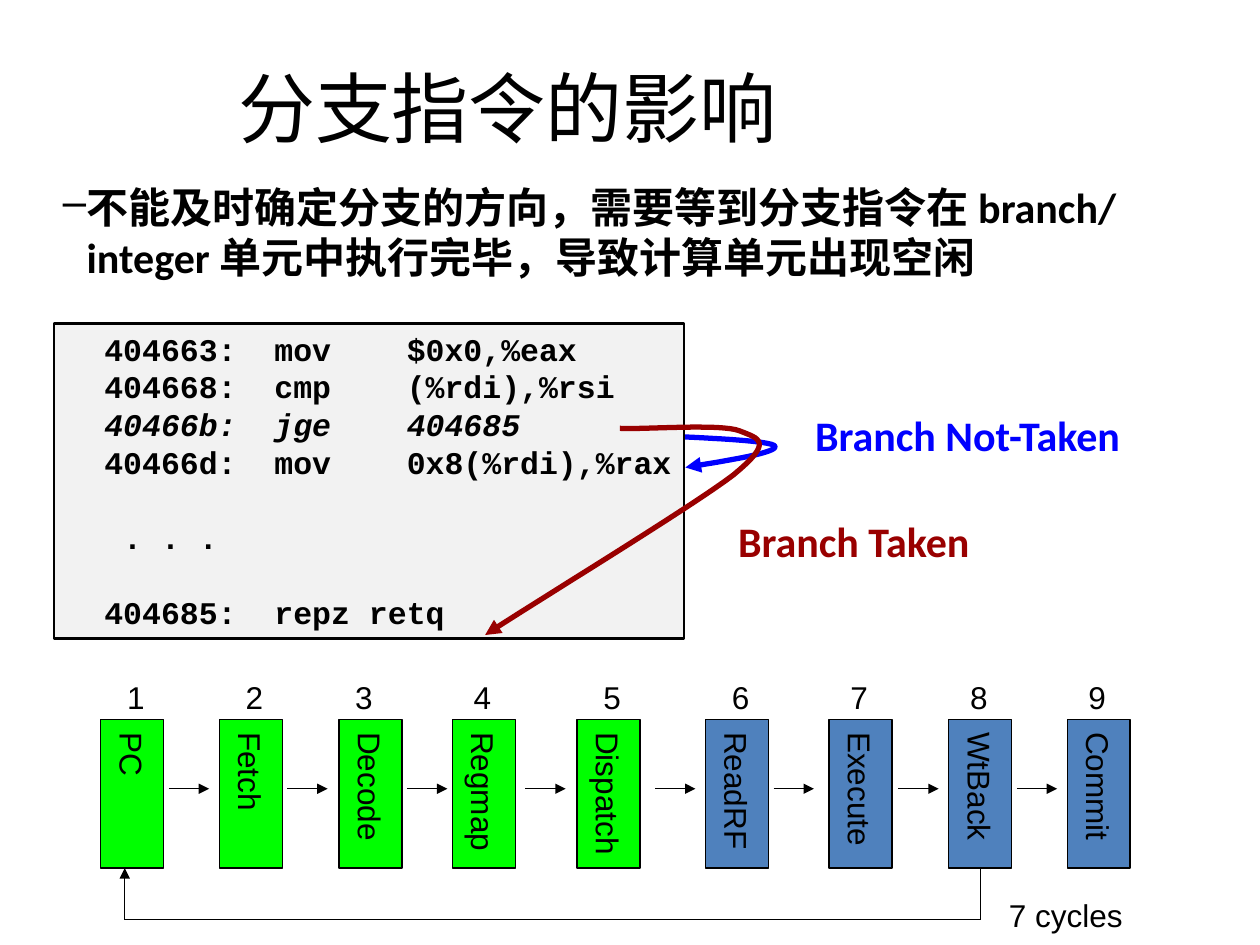
from dataclasses import dataclass

from lxml.etree import SubElement
from pptx import Presentation
from pptx.dml.color import RGBColor
from pptx.enum.shapes import MSO_CONNECTOR as Conn, MSO_SHAPE as Shape
from pptx.enum.text import MSO_ANCHOR as Anchor, PP_ALIGN as Align
from pptx.oxml.ns import qn
from pptx.util import Inches, Pt


@dataclass(frozen=True)
class Theme:
    ink: str = "000000"
    panel: str = "F2F2F2"
    front_end: str = "00FF00"
    back_end: str = "4F81BD"
    taken: str = "990000"
    not_taken: str = "0000FF"
    heading_font: str = "Calibri"
    code_font: str = "Courier New"
    label_font: str = "Arial"
    title_size: int = 44
    body_size: int = 24
    small_size: int = 18
    code_pitch: float = 21.5


T = Theme()
COLS, ROWS = 100, 75
CELL = Inches(10) // COLS

# name, fill, column of the box, column of its number, column of the next arrow
STAGES = [
    ("PC", T.front_end, 8, 9.1, 13.4),
    ("Fetch", T.front_end, 17.4, 18.5, 22.8),
    ("Decode", T.front_end, 26.9, 27.2, 32.3),
    ("Regmap", T.front_end, 35.9, 36.6, 41.7),
    ("Dispatch", T.front_end, 45.8, 46.9, 52),
    ("ReadRF", T.back_end, 56, 57.1, 61.4),
    ("Execute", T.back_end, 65.8, 66.5, 71.3),
    ("WtBack", T.back_end, 75.3, 76, 80.7),
    ("Commit", T.back_end, 84.7, 85.4, None),
]
STAGE_TOP, STAGE_W, STAGE_H = 57.1, 5, 11.8
NUMBER_TOP, ARROW_ROW, ARROW_LEN = 53.3, 62.6, 3.2
RETURN_ROW, RETURN_COL = 73, 9.9

# text, italic, gap before
CODE = [
    ("  404663:  mov    $0x0,%eax", False, False),
    ("  404668:  cmp    (%rdi),%rsi", False, False),
    ("  40466b:  jge    404685", True, False),
    ("  40466d:  mov    0x8(%rdi),%rax", False, False),
    ("   . . .", False, True),
    ("  404685:  repz retq", False, True),
]
NOT_TAKEN_PATH = [(52.7, 34.6), (56.9, 34.8), (61.2, 35), (61.5, 35.4),
                  (61.8, 35.9), (58.1, 36.5), (54.4, 37.1)]
TAKEN_PATH = [(49.2, 34), (51.2, 34.1), (57.2, 33.6), (58.7, 34.2),
              (60.2, 34.8), (61.5, 35), (58.2, 37.7),
              (54.8, 40.3), (41.8, 48.2), (38.5, 50.4)]


def grid(*cells):
    return [round(c * CELL) for c in cells]


def add_run(p, text, size, font=T.label_font, color=T.ink, bold=False, italic=False):
    r = p.add_run()
    r.text = text
    r.font.size, r.font.name = Pt(size), font
    r.font.bold, r.font.italic = bold, italic
    r.font.color.rgb = RGBColor.from_string(color)


def add_label(s, box, text, size, wrap=True, align=Align.LEFT, anchor=Anchor.TOP, **style):
    tf = s.shapes.add_textbox(*grid(*box)).text_frame
    tf.word_wrap, tf.vertical_anchor = wrap, anchor
    p = tf.paragraphs[0]
    p.alignment = align
    add_run(p, text, size, **style)
    return p


def add_dash(p):
    """Give the paragraph an en-dash bullet with a hanging indent."""
    pPr = p._p.get_or_add_pPr()
    pPr.set("marL", str(Inches(0.31)))
    pPr.set("indent", str(Inches(-0.19)))
    SubElement(pPr, qn("a:buChar"), char="–")


def add_box(s, box, fill, width):
    sp = s.shapes.add_shape(Shape.RECTANGLE, *grid(*box))
    sp.shadow.inherit = False
    sp.fill.solid()
    sp.fill.fore_color.rgb = RGBColor.from_string(fill)
    sp.line.color.rgb = RGBColor.from_string(T.ink)
    sp.line.width = Pt(width)
    return sp


def add_code(s):
    tf = add_box(s, (4.3, 25.7, 50, 25), T.panel, 1.5).text_frame
    tf.word_wrap, tf.vertical_anchor = False, Anchor.TOP
    for i, (text, italic, gap) in enumerate(CODE):
        p = tf.add_paragraph() if i else tf.paragraphs[0]
        p.alignment, p.line_spacing = Align.LEFT, Pt(T.code_pitch)
        if gap:
            p.space_before = Pt(T.code_pitch)
        add_run(p, text, T.small_size, T.code_font, bold=True, italic=italic)


def add_arrowhead(line):
    SubElement(line._get_or_add_ln(), qn("a:tailEnd"), type="triangle")


def add_line(s, start, end, arrow=False):
    c = s.shapes.add_connector(Conn.STRAIGHT, *grid(*start, *end))
    c.line.color.rgb = RGBColor.from_string(T.ink)
    c.line.width = Pt(0.75)
    if arrow:
        add_arrowhead(c.line)
    SubElement(c._element.spPr, qn("a:effectLst"))
    return c


def bezier(points, steps=16):
    """Points along a chain of cubic curves that share their end points."""
    for i in range(0, len(points) - 1, 3):
        for k in range(1, steps + 1):
            t = k / steps
            u = 1 - t
            weights = (u**3, 3 * u * u * t, 3 * u * t * t, t**3)
            yield tuple(sum(w * pt[axis] for w, pt in zip(weights, points[i:i + 4]))
                        for axis in (0, 1))


def add_curve(s, points, color):
    fb = s.shapes.build_freeform(*grid(*points[0]))
    fb.add_line_segments([grid(*pt) for pt in bezier(points)], close=False)
    sp = fb.convert_to_shape()
    sp.shadow.inherit = False
    sp.fill.background()
    sp.line.color.rgb = RGBColor.from_string(color)
    sp.line.width = Pt(3)
    add_arrowhead(sp.line)


def add_stage(s, name, fill, col):
    sp = add_box(s, (col, STAGE_TOP, STAGE_W, STAGE_H), fill, 0.75)
    tf = sp.text_frame
    tf.margin_left = tf.margin_right = Inches(0.05)
    tf.margin_top = tf.margin_bottom = Inches(0.1)
    tf.vertical_anchor, tf.word_wrap = Anchor.MIDDLE, True
    tf._txBody.bodyPr.set("vert", "eaVert")
    p = tf.paragraphs[0]
    p.alignment = Align.CENTER
    add_run(p, name, T.small_size)
    return sp


def add_pipeline(s):
    boxes = {}
    for number, (name, fill, col, number_col, arrow_col) in enumerate(STAGES, 1):
        boxes[name] = add_stage(s, name, fill, col)
        add_label(s, (number_col, NUMBER_TOP, 3.2, 4), str(number), T.small_size)
        if arrow_col is not None:
            add_line(s, (arrow_col, ARROW_ROW), (arrow_col + ARROW_LEN, ARROW_ROW), True)

    bottom = STAGE_TOP + STAGE_H
    back_col = STAGES[7][2] + STAGE_W / 2
    down = add_line(s, (back_col, bottom), (back_col, RETURN_ROW))
    down.begin_connect(boxes["WtBack"], 2)
    add_line(s, (back_col, RETURN_ROW), (RETURN_COL, RETURN_ROW))
    add_line(s, (RETURN_COL, RETURN_ROW), (RETURN_COL, bottom), True)
    add_label(s, (79.1, 70.6, 12.6, 4), "7 cycles", T.small_size)


def main():
    prs = Presentation()
    prs.slide_width, prs.slide_height = grid(COLS, ROWS)
    s = prs.slides.add_slide(prs.slide_layouts[6])
    heading = {"font": T.heading_font}
    strong = {"font": T.heading_font, "bold": True}

    add_label(s, (5.1, 3.8, 70.4, 9.4), "分支指令的影响", T.title_size,
              align=Align.CENTER, anchor=Anchor.MIDDLE, **heading)
    add_dash(add_label(
        s, (2.8, 13.9, 92.9, 10.4),
        "不能及时确定分支的方向，需要等到分支指令在 branch/ integer 单元中执行完毕，导致计算单元出现空闲",
        T.body_size, **strong))
    add_label(s, (57.6, 40.4, 20.8, 5), "Branch Taken", T.body_size,
              wrap=False, color=T.taken, **strong)
    add_curve(s, NOT_TAKEN_PATH, T.not_taken)
    add_label(s, (63.7, 32, 26.9, 5), "Branch Not-Taken", T.body_size,
              wrap=False, color=T.not_taken, **strong)
    add_code(s)
    add_curve(s, TAKEN_PATH, T.taken)
    add_pipeline(s)
    prs.save("out.pptx")


if __name__ == "__main__":
    main()
